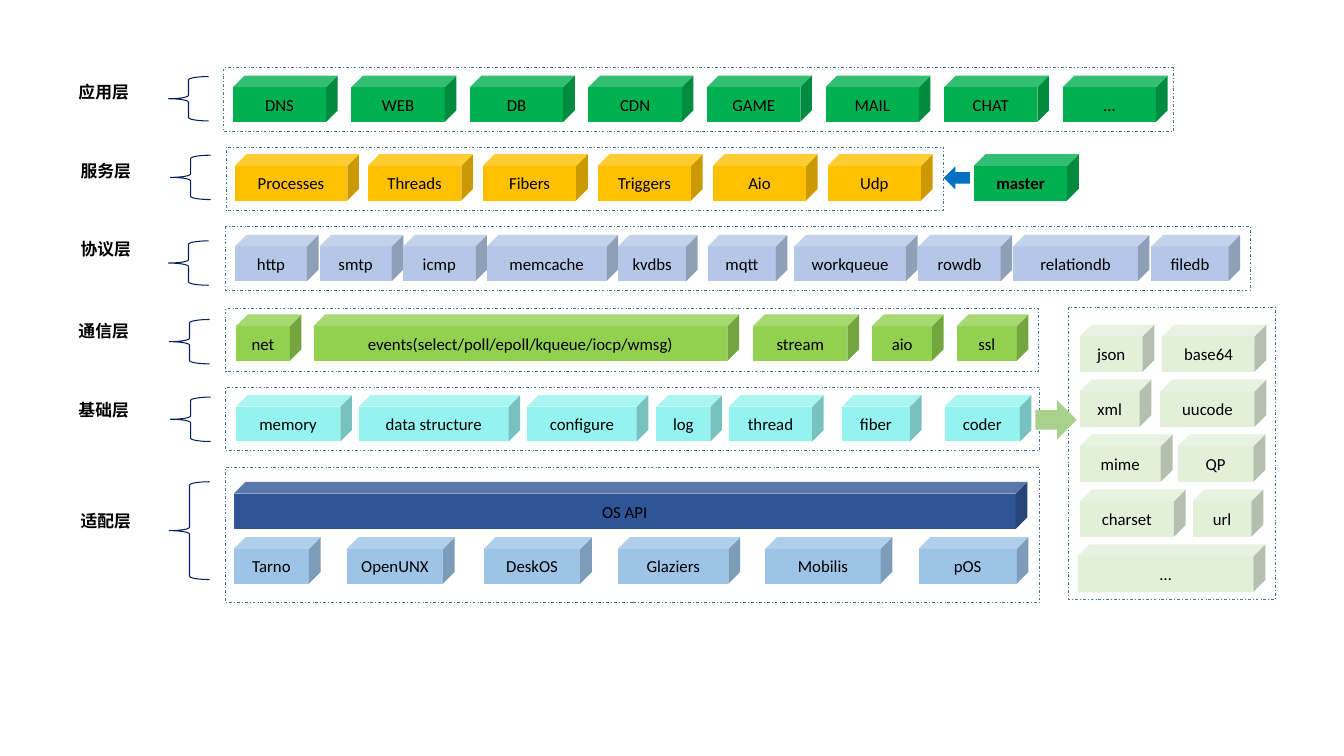
import dataclasses

import pptx
import pptx.dml.color
import pptx.enum.dml
import pptx.enum.shapes
import pptx.enum.text
import pptx.util

Inches = pptx.util.Inches
SHAPE = pptx.enum.shapes.MSO_SHAPE
ALIGN = pptx.enum.text.PP_ALIGN
ANCHOR = pptx.enum.text.MSO_ANCHOR


@dataclasses.dataclass(frozen=True)
class Theme:
    font: str = "Calibri"
    text_size: float = 12
    frame_width: float = 0.5
    brace_width: float = 0.75
    text: str = "000000"
    frame: str = "43739E"
    brace: str = "002060"
    application: str = "00B050"
    service: str = "FFC000"
    protocol: str = "B4C7E7"
    communication: str = "92D050"
    base: str = "95F3EF"
    system_api: str = "2F5597"
    system: str = "9DC3E6"
    codec: str = "E2F0D9"
    master_arrow: str = "0070C0"
    codec_arrow: str = "A9D18E"


THEME = Theme()


@dataclasses.dataclass(frozen=True)
class Box:
    left: float
    top: float
    width: float
    height: float

    def inside(self, left, top, width, height):
        return Box(self.left + left, self.top + top, width, height)

    def lengths(self):
        return [Inches(value) for value in (self.left, self.top, self.width, self.height)]


@dataclasses.dataclass(frozen=True)
class Row:
    fill: str
    top: float
    cubes: list
    height: float = 0.46


@dataclasses.dataclass(frozen=True)
class Layer:
    label: str
    box: Box
    label_offset: tuple
    brace_offset: tuple
    rows: list
    brace_height: float = 0.44


APPLICATIONS = ["DNS", "WEB", "DB", "CDN", "GAME", "MAIL", "CHAT", "…"]
SERVICES = ["Fibers", "Triggers", "Aio", "Udp"]

LAYERS = [
    Layer("应用层", Box(2.22, 0.67, 9.42, 0.63), (-1.54, 0.09), (-0.55, 0.09), [
        Row(THEME.application, 0.08,
            [(name, 0.09 + index * 8.23 / 7, 1.04) for index, name in enumerate(APPLICATIONS)]),
    ]),
    Layer("服务层", Box(2.24, 1.46, 7.12, 0.63), (-1.54, 0.09), (-0.55, 0.08), [
        Row(THEME.service, 0.07,
            [("Processes", 0.09, 1.23), ("Threads", 1.41, 1.04)]
            + [(name, 2.55 + index * 1.14, 1.04) for index, name in enumerate(SERVICES)]),
    ]),
    Layer("协议层", Box(2.24, 2.25, 10.16, 0.63), (-1.54, 0.07), (-0.57, 0.14), [
        Row(THEME.protocol, 0.08, [
            ("http", 0.09, 0.83), ("smtp", 0.93, 0.83), ("icmp", 1.76, 0.83),
            ("memcache", 2.59, 1.3), ("kvdbs", 3.89, 0.79), ("mqtt", 4.78, 0.79),
            ("workqueue", 5.64, 1.22), ("rowdb", 6.87, 0.93),
            ("relationdb", 7.81, 1.35), ("filedb", 9.18, 0.88)]),
    ]),
    Layer("通信层", Box(2.24, 3.06, 8.06, 0.63), (-1.56, 0.07), (-0.56, 0.11), [
        Row(THEME.communication, 0.06, [
            ("net", 0.1, 0.65), ("events(select/poll/epoll/kqueue/iocp/wmsg)", 0.87, 4.22),
            ("stream", 5.23, 1.05), ("aio", 6.41, 0.71), ("ssl", 7.25, 0.71)]),
    ]),
    Layer("基础层", Box(2.24, 3.84, 8.07, 0.63), (-1.56, 0.08), (-0.55, 0.1), [
        Row(THEME.base, 0.08, [
            ("memory", 0.1, 1.15), ("data structure", 1.32, 1.6), ("configure", 2.99, 1.2),
            ("log", 4.27, 0.65), ("thread", 4.99, 0.94), ("fiber", 6.11, 0.79),
            ("coder", 7.13, 0.86)]),
    ]),
    Layer("适配层", Box(2.24, 4.64, 8.07, 1.34), (-1.54, 0.38), (-0.56, 0.14), [
        Row(THEME.system_api, 0.14, [("OS API", 0.08, 7.87)], 0.47),
        Row(THEME.system, 0.69, [
            ("Tarno", 0.08, 0.86), ("OpenUNX", 1.2, 1.07), ("DeskOS", 2.56, 1.07),
            ("Glaziers", 3.89, 1.21), ("Mobilis", 5.35, 1.26), ("pOS", 6.87, 1.09)]),
    ], 0.97),
]

CODEC_ROWS = [
    [("json", 0.11, 0.74), ("base64", 0.93, 1.03)],
    [("xml", 0.11, 0.71), ("uucode", 0.91, 1.05)],
    [("mime", 0.11, 0.92), ("QP", 1.08, 0.87)],
    [("charset", 0.11, 1.05), ("url", 1.23, 0.7)],
    [("…", 0.09, 1.86)],
]


def color(value):
    return pptx.dml.color.RGBColor.from_string(value)


def write_text(shape, text, bold=False, align=ALIGN.LEFT, anchor=ANCHOR.TOP):
    frame = shape.text_frame
    frame.word_wrap = True
    frame.vertical_anchor = anchor
    paragraph = frame.paragraphs[0]
    paragraph.alignment = align
    run = paragraph.add_run()
    run.text = text
    run.font.name = THEME.font
    run.font.size = pptx.util.Pt(THEME.text_size)
    run.font.bold = bold
    run.font.color.rgb = color(THEME.text)


def add_shape(slide, kind, box, fill=None, line=None, line_width=0):
    shape = slide.shapes.add_shape(kind, *box.lengths())
    shape.shadow.inherit = False
    if fill:
        shape.fill.solid()
        shape.fill.fore_color.rgb = color(fill)
    else:
        shape.fill.background()
    if line:
        shape.line.color.rgb = color(line)
        shape.line.width = pptx.util.Pt(line_width)
    else:
        shape.line.fill.background()
    return shape


def add_frame(slide, box):
    frame = add_shape(slide, SHAPE.RECTANGLE, box, line=THEME.frame, line_width=THEME.frame_width)
    frame.line.dash_style = pptx.enum.dml.MSO_LINE.DASH_DOT


def add_cube(slide, box, text, fill, bold=False):
    cube = add_shape(slide, SHAPE.CUBE, box, fill=fill)
    cube.text_frame.margin_left = cube.text_frame.margin_right = Inches(0.05)
    write_text(cube, text, bold=bold, align=ALIGN.CENTER, anchor=ANCHOR.MIDDLE)


def add_row(slide, box, row):
    for text, left, width in row.cubes:
        add_cube(slide, box.inside(left, row.top, width, row.height), text, row.fill)


def add_layer(slide, layer):
    box = layer.box
    add_frame(slide, box)
    label = slide.shapes.add_textbox(*box.inside(*layer.label_offset, 1.08, 0.45).lengths())
    write_text(label, layer.label, bold=True)
    brace_box = box.inside(*layer.brace_offset, 0.4, layer.brace_height)
    add_shape(slide, SHAPE.LEFT_BRACE, brace_box, line=THEME.brace, line_width=THEME.brace_width)
    for row in layer.rows:
        add_row(slide, box, row)


def add_master(slide, box):
    add_shape(slide, SHAPE.LEFT_ARROW, box.inside(0, 0.12, 0.26, 0.23), fill=THEME.master_arrow)
    add_cube(slide, box.inside(0.3, 0, 1.04, 0.46), "master", THEME.application, bold=True)


def add_codecs(slide, box):
    add_frame(slide, box)
    for index, cubes in enumerate(CODEC_ROWS):
        add_row(slide, box, Row(THEME.codec, 0.17 + index * 0.545, cubes, 0.47))
    add_shape(slide, SHAPE.RIGHT_ARROW, box.inside(-0.33, 0.92, 0.41, 0.39), fill=THEME.codec_arrow)


def main():
    presentation = pptx.Presentation()
    presentation.slide_width = Inches(13.33)
    presentation.slide_height = Inches(7.5)
    slide = presentation.slides.add_slide(presentation.slide_layouts[6])
    for layer in LAYERS:
        add_layer(slide, layer)
    add_master(slide, Box(9.36, 1.53, 1.34, 0.46))
    add_codecs(slide, Box(10.6, 3.05, 2.05, 2.9))
    presentation.save("out.pptx")


if __name__ == "__main__":
    main()
